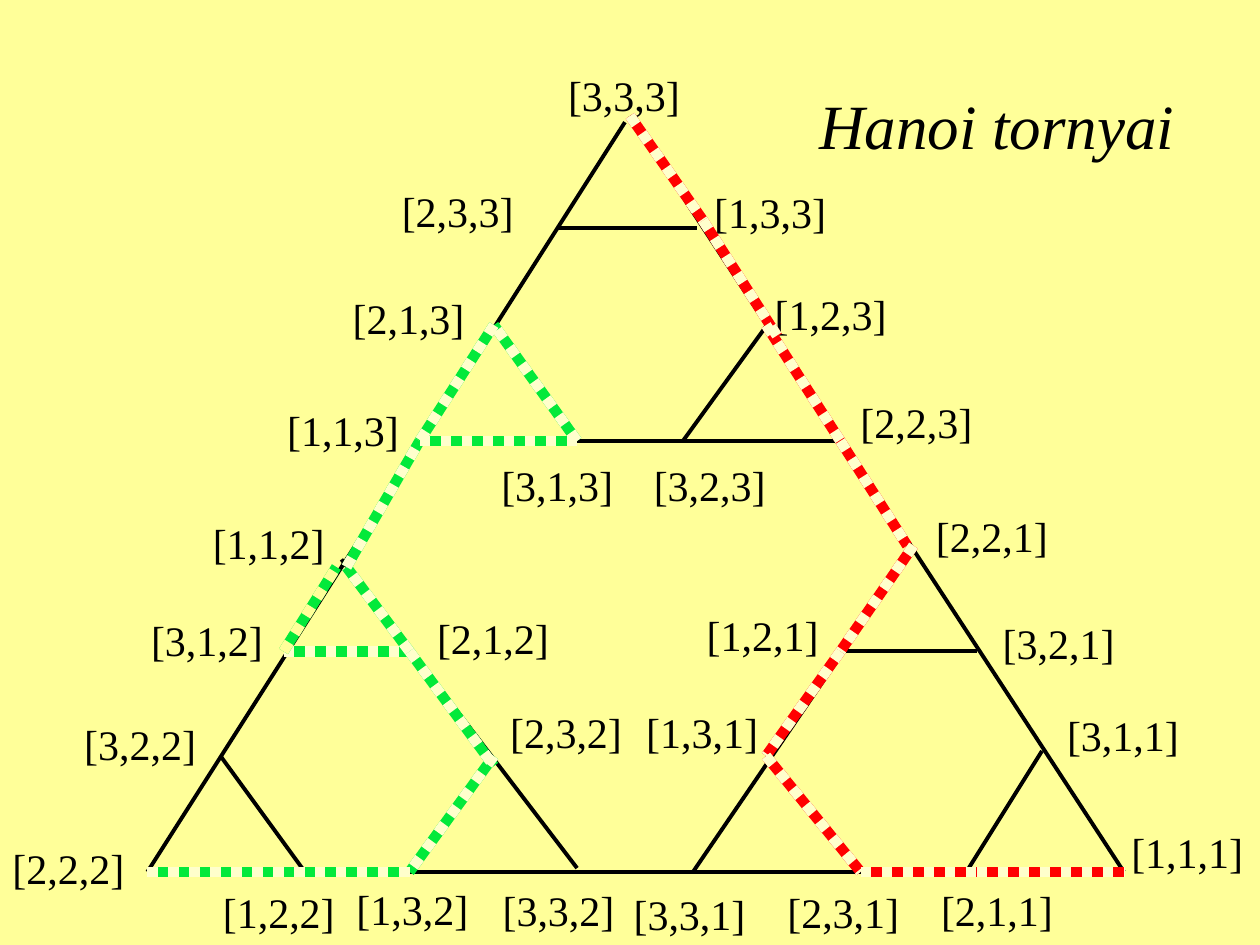
"""Build the Tower of Hanoi state graph slide."""
from itertools import pairwise

from lxml.etree import SubElement
from pptx import Presentation
from pptx.dml.color import RGBColor
from pptx.enum.dml import MSO_LINE
from pptx.enum.shapes import MSO_CONNECTOR
from pptx.enum.text import MSO_ANCHOR, PP_ALIGN
from pptx.oxml.ns import qn
from pptx.util import Inches, Pt

BLACK = RGBColor(0, 0, 0)
YELLOW = RGBColor(0xFF, 0xFF, 0x99)
CREAM = RGBColor(0xFF, 0xFF, 0xCC)
RED = RGBColor(0xFF, 0, 0)
GREEN = RGBColor(0x03, 0xE9, 0x3A)

EDGES = [
    ((4.96, 0.97), (1.17, 6.92)), ((1.17, 6.92), (8.92, 6.92)),
    ((5, 0.92), (8.92, 6.92)), ((4.43, 1.81), (5.53, 1.81)),
    ((1.75, 6), (2.42, 6.92)), ((8.27, 5.96), (7.67, 6.92)),
    ((3.33, 3.5), (6.67, 3.5)), ((7.22, 4.4), (5.5, 6.92)),
    ((2.71, 4.44), (4.58, 6.89)), ((6.67, 5.17), (7.75, 5.17)),
    ((6.08, 6), (6.83, 6.92)), ((3.92, 2.59), (4.58, 3.5)),
    ((6.08, 2.59), (5.42, 3.5)), ((2.25, 5.17), (3.25, 5.17)),
    ((3.92, 6), (3.33, 6.85)),
]

STATES = {
    "3,3,3": (4.41, 0.5), "3,2,1": (7.86, 4.85), "1,3,3": (5.57, 1.43),
    "1,2,3": (6.05, 2.24), "2,2,3": (6.73, 3.1), "2,2,1": (7.33, 4),
    "3,1,1": (8.37, 5.58), "1,1,1": (8.88, 6.51), "2,3,3": (3.09, 1.42),
    "2,1,3": (2.7, 2.27), "1,1,3": (2.18, 3.16), "3,1,3": (3.88, 3.6),
    "3,2,3": (5.09, 3.6), "2,2,2": (0, 6.64), "3,2,2": (0.57, 5.65),
    "1,1,2": (1.59, 4.06), "3,1,2": (1.1, 4.83), "3,3,2": (3.89, 6.97),
    "3,3,1": (4.93, 7), "2,3,1": (6.15, 6.99), "2,1,1": (7.37, 6.97),
    "1,2,2": (1.67, 6.99), "1,3,2": (2.73, 6.96), "2,3,2": (3.95, 5.56),
    "2,1,2": (3.37, 4.81), "1,2,1": (5.51, 4.79), "1,3,1": (5.03, 5.56),
}

RED_WAY = [
    *pairwise([(5, 0.92), (5.58, 1.75), (6.17, 2.67)]),
    *pairwise([(6.08, 2.58), (6.67, 3.5), (7.2, 4.33)]),
    *pairwise([(7.25, 4.33), (6.67, 5.17), (6.08, 6), (6.83, 6.92),
               (7.75, 6.92), (8.92, 6.92)]),
]
GREEN_WAY = [
    *pairwise([(3.25, 5.17), (3.92, 6.08)]),
    *pairwise([(3.92, 6), (3.25, 6.92), (2.42, 6.92), (1.17, 6.92)]),
    *pairwise([(2.75, 4.5), (3.33, 3.5), (4.58, 3.5), (3.92, 2.58), (3.33, 3.5)]),
    *pairwise([(2.25, 5.17), (3.25, 5.17), (2.75, 4.5)]),
]
SPUR = [((2.25, 5.17), (2.67, 4.5))]


class Board:
    """Hold the text style and the current slide."""

    face = "Times New Roman"

    def __init__(self, deck, back):
        self.slide = deck.slides.add_slide(deck.slide_layouts[6])
        fill = self.slide.background.fill
        fill.solid()
        fill.fore_color.rgb = back

    def line(self, start, end, color, width, dash=None):
        ends = [Inches(v) for v in (*start, *end)]
        link = self.slide.shapes.add_connector(MSO_CONNECTOR.STRAIGHT, *ends)
        link.line.color.rgb = color
        for key, value in {"width": Pt(width), "dash_style": dash}.items():
            setattr(link.line, key, value)
        SubElement(link._element.spPr, qn("a:effectLst"))

    def way(self, parts, color, dots=CREAM):
        for tint, dash in ((color, None), (dots, MSO_LINE.ROUND_DOT)):
            for start, end in parts:
                self.line(start, end, tint, 6, dash)

    def text(self, words, box, size, italic=None, align=PP_ALIGN.LEFT,
             anchor=MSO_ANCHOR.TOP):
        frame = self.slide.shapes.add_textbox(*map(Inches, box)).text_frame
        frame.word_wrap = True
        frame.vertical_anchor = anchor
        para = frame.paragraphs[0]
        para.alignment = align
        run = para.add_run()
        run.text = words
        look = {"name": self.face, "size": Pt(size), "italic": italic}
        for key, value in look.items():
            setattr(run.font, key, value)
        run.font.color.rgb = BLACK


deck = Presentation()
for key, value in {"slide_width": 10, "slide_height": 7.5}.items():
    setattr(deck, key, Inches(value))

board = Board(deck, YELLOW)
for start, end in EDGES:
    board.line(start, end, BLACK, 2.25)
for state, spot in STATES.items():
    board.text(f"[{state}]", (*spot, 1.12, 0.5), 24)
board.way(RED_WAY, RED)
board.way(GREEN_WAY, GREEN)
board.way(SPUR, GREEN, YELLOW)
board.text("Hanoi tornyai", (0.92, 0.38, 8.5, 1.21), 36, True,
           PP_ALIGN.RIGHT, MSO_ANCHOR.MIDDLE)

deck.save("out.pptx")
